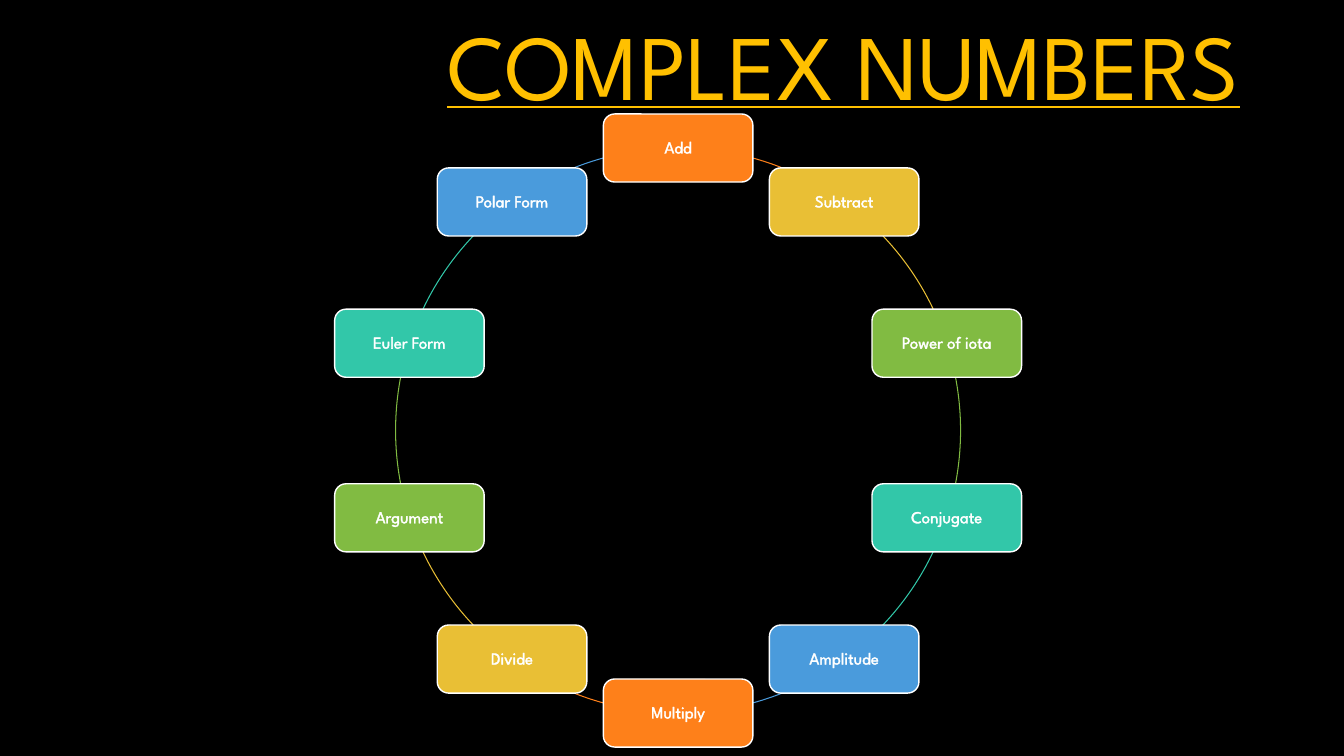
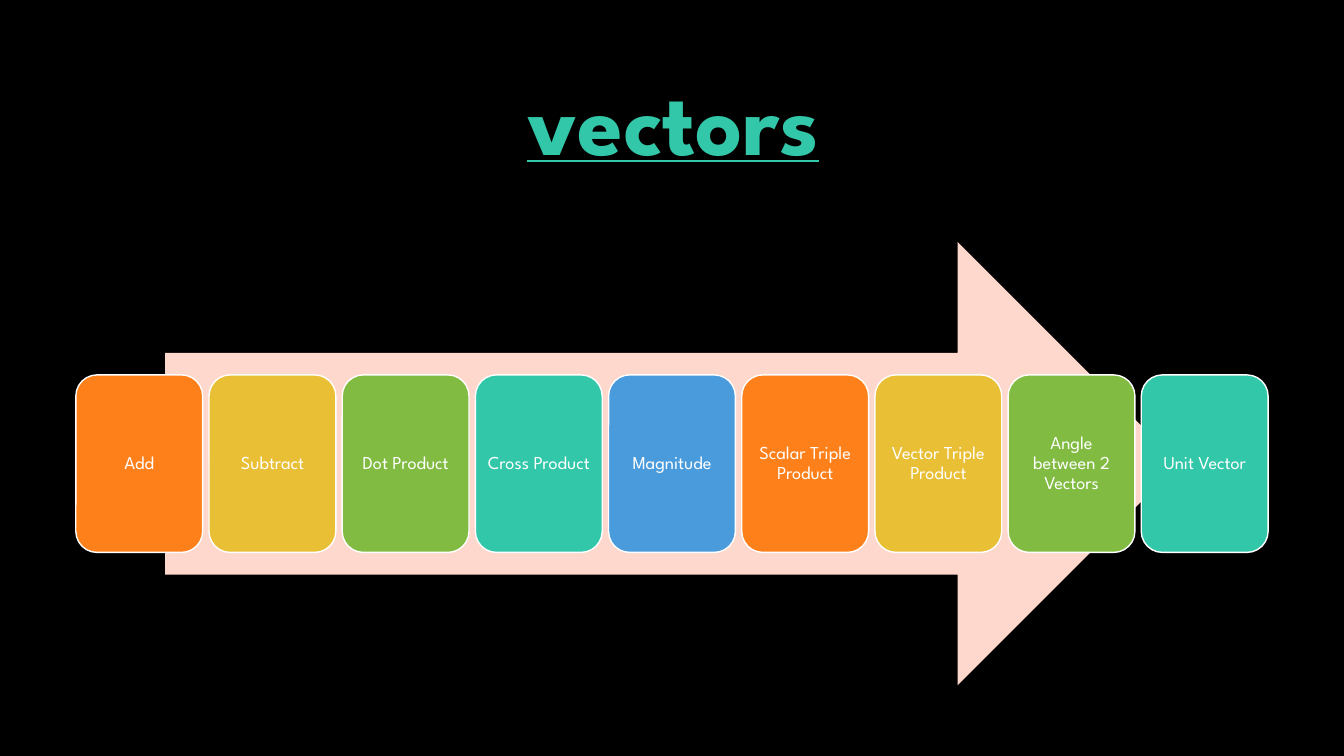
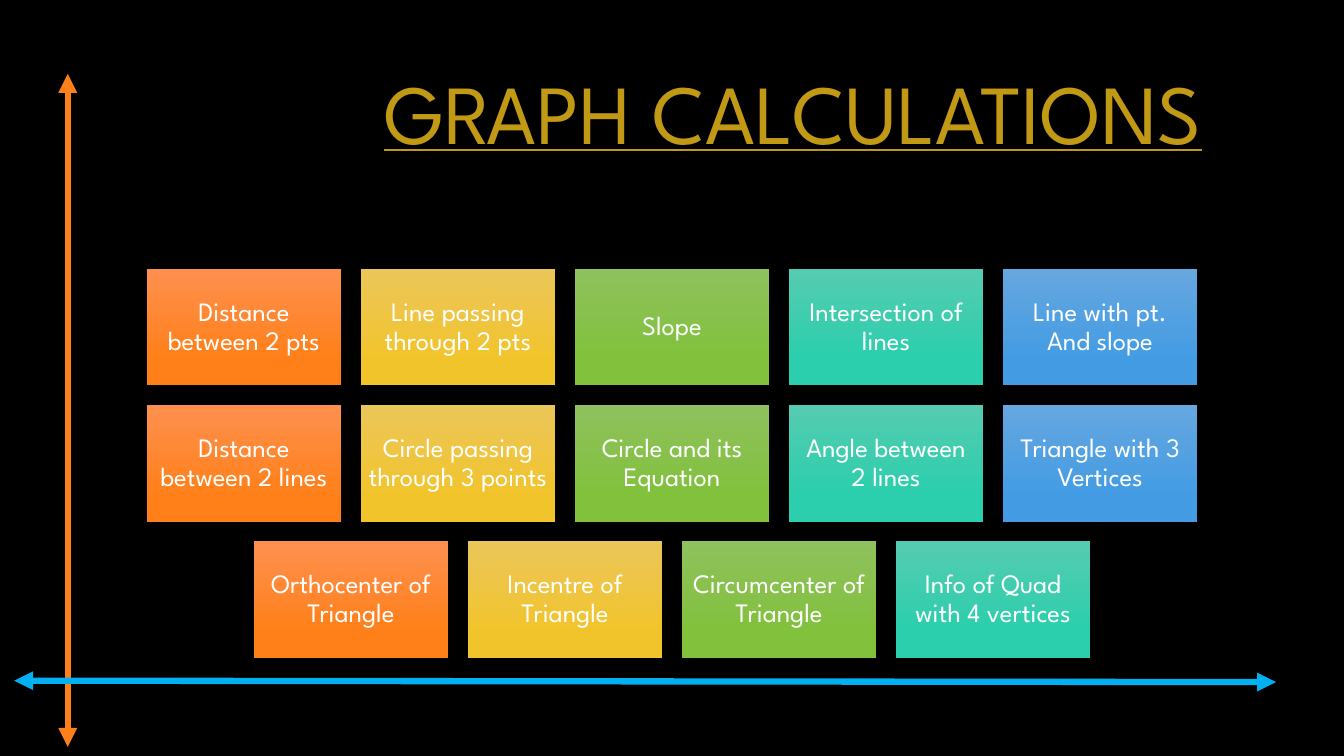
import math

import lxml.etree
import pptx
import pptx.dml.color
import pptx.enum.shapes
import pptx.enum.text
import pptx.oxml.ns
import pptx.util

Pt = pptx.util.Pt
RGBColor = pptx.dml.color.RGBColor
SHAPE = pptx.enum.shapes.MSO_SHAPE
qn = pptx.oxml.ns.qn

FONT = "League Spartan"
BLACK = RGBColor(0x00, 0x00, 0x00)
WHITE = RGBColor(0xFF, 0xFF, 0xFF)
ORANGE = RGBColor(0xFE, 0x80, 0x1A)
YELLOW = RGBColor(0xE9, 0xBF, 0x35)
GREEN = RGBColor(0x81, 0xBB, 0x42)
TEAL = RGBColor(0x32, 0xC7, 0xA9)
BLUE = RGBColor(0x4A, 0x9B, 0xDC)
AMBER = RGBColor(0xFF, 0xC0, 0x00)
OCHRE = RGBColor(0xC1, 0x99, 0x15)
PEACH = RGBColor(0xFF, 0xD8, 0xCD)
SKY = RGBColor(0x00, 0xB0, 0xF0)
ACCENTS = [ORANGE, YELLOW, GREEN, TEAL, BLUE]
GRADIENTS = [
    (RGBColor(0xFE, 0x90, 0x4F), RGBColor(0xFF, 0x80, 0x19)),
    (RGBColor(0xEB, 0xC6, 0x59), RGBColor(0xF2, 0xC4, 0x2C)),
    (RGBColor(0x8F, 0xC1, 0x5E), RGBColor(0x81, 0xC1, 0x3C)),
    (RGBColor(0x55, 0xCC, 0xB1), RGBColor(0x2B, 0xCE, 0xAD)),
    (RGBColor(0x66, 0xA7, 0xE0), RGBColor(0x43, 0x9C, 0xE3)),
]

SLIDE_W, SLIDE_H = 960, 540
TITLE_W, TITLE_H = 678, 101.5

COMPLEX_OPERATIONS = [
    "Add", "Subtract", "Power of iota", "Conjugate", "Amplitude",
    "Multiply", "Divide", "Argument", "Euler Form", "Polar Form",
]
VECTOR_OPERATIONS = [
    "Add", "Subtract", "Dot Product", "Cross Product", "Magnitude",
    "Scalar Triple Product", "Vector Triple Product",
    "Angle between 2 Vectors", "Unit Vector",
]
GRAPH_ROWS = [
    ["Distance between 2 pts", "Line passing through 2 pts", "Slope",
     "Intersection of lines", "Line with pt. And slope"],
    ["Distance between 2 lines", "Circle passing through 3 points",
     "Circle and its Equation", "Angle between 2 lines",
     "Triangle with 3 Vertices"],
    ["Orthocenter of Triangle", "Incentre of Triangle",
     "Circumcenter of Triangle", "Info of Quad with 4 vertices"],
]
AXES = [  # start, end, colour
    ((48.4, 52.8), (48.4, 533.5), ORANGE),
    ((911.5, 487.2), (10.2, 486.2), SKY),
]


def write(shape, text, size, color, inset=None):
    """Put one centred line of text in a shape and return its run."""
    frame = shape.text_frame
    frame.text = text
    frame.word_wrap = True
    frame.vertical_anchor = pptx.enum.text.MSO_ANCHOR.MIDDLE
    if inset is not None:
        frame.margin_left = frame.margin_right = Pt(inset)
        frame.margin_top = frame.margin_bottom = Pt(inset)
    paragraph = frame.paragraphs[0]
    paragraph.alignment = pptx.enum.text.PP_ALIGN.CENTER
    paragraph.line_spacing = 0.9
    run = paragraph.runs[0]
    run.font.name = FONT
    run.font.size = Pt(size)
    run.font.color.rgb = color
    return run


def add_slide(deck, title, left, top, size, color, bold=False):
    slide = deck.slides.add_slide(deck.slide_layouts[6])
    slide.background.fill.solid()
    slide.background.fill.fore_color.rgb = BLACK
    heading = slide.shapes.add_textbox(
        Pt(left), Pt(top), Pt(TITLE_W), Pt(TITLE_H))
    run = write(heading, title, size, color)
    run.font.underline = True
    run.font.bold = bold
    return slide


def add_plain_shape(slide, kind, left, top, width, height, fill=None):
    """Add a shape with no shadow and no line."""
    shape = slide.shapes.add_shape(
        kind, Pt(left), Pt(top), Pt(width), Pt(height))
    shape.shadow.inherit = False
    shape.line.fill.background()
    if fill is None:
        shape.fill.background()
    else:
        shape.fill.solid()
        shape.fill.fore_color.rgb = fill
    return shape


def outline(shape, color, width):
    shape.line.color.rgb = color
    shape.line.width = Pt(width)


def add_card(slide, text, left, top, width, height, fill, size):
    card = add_plain_shape(
        slide, SHAPE.ROUNDED_RECTANGLE, left, top, width, height, fill)
    outline(card, WHITE, 1)
    return write(card, text, size, WHITE, inset=3.6)


def outline_text(run, color, width):
    line = lxml.etree.Element(qn("a:ln"), w=str(Pt(width)))
    fill = lxml.etree.SubElement(line, qn("a:solidFill"))
    lxml.etree.SubElement(fill, qn("a:srgbClr"), val=str(color))
    run.font._element.insert(0, line)


def add_axis(slide, start, end, color):
    axis = slide.shapes.add_connector(
        pptx.enum.shapes.MSO_CONNECTOR.STRAIGHT,
        Pt(start[0]), Pt(start[1]), Pt(end[0]), Pt(end[1]))
    outline(axis, color, 4.5)
    line = axis.line._get_or_add_ln()
    for tip in ("a:headEnd", "a:tailEnd"):
        lxml.etree.SubElement(line, qn(tip), type="triangle")
    lxml.etree.SubElement(axis._element.spPr, qn("a:effectLst"))


def build_complex_numbers(deck):
    slide = add_slide(deck, "COMPLEX NUMBERS", 263.5, 0, 66, AMBER)
    center_x, center_y, radius = 484.4, 307.5, 201.8
    width, height = 106.8, 48.6
    step = 360 / len(COMPLEX_OPERATIONS)
    nodes = [(text, i * step - 90, ACCENTS[i % len(ACCENTS)])
             for i, text in enumerate(COMPLEX_OPERATIONS)]
    for _, angle, color in nodes:
        arc = add_plain_shape(slide, SHAPE.ARC, center_x - radius,
                              center_y - radius, 2 * radius, 2 * radius)
        outline(arc, color, 0.75)
        # An adjustment of 0.6 is one degree.
        arc.adjustments[0] = angle % 360 * 0.6
        arc.adjustments[1] = (angle + step) % 360 * 0.6
    for text, angle, color in nodes:
        x = center_x + radius * math.cos(math.radians(angle))
        y = center_y + radius * math.sin(math.radians(angle))
        run = add_card(slide, text, x - width / 2, y - height / 2,
                       width, height, color, 12)
        outline_text(run, WHITE, 1.5)


def build_vectors(deck):
    slide = add_slide(deck, "vectors", 141.8, 38.9, 66, TEAL, bold=True)
    add_plain_shape(slide, SHAPE.RIGHT_ARROW, 118, 172.8, 724.4, 316.8, PEACH)
    left, width, gap = 54.2, 90.6, 4.53
    for i, text in enumerate(VECTOR_OPERATIONS):
        add_card(slide, text, left + i * (width + gap), 267.8, width, 126.8,
                 ACCENTS[i % len(ACCENTS)], 13)


def build_graph_calculations(deck):
    slide = add_slide(deck, "GRAPH CALCULATIONS", 227.5, 33.1, 60, OCHRE)
    width, height, gap, top = 139, 83.4, 13.9, 192
    for row, texts in enumerate(GRAPH_ROWS):
        row_width = len(texts) * (width + gap) - gap
        left = (SLIDE_W - row_width) / 2
        for column, text in enumerate(texts):
            tile = add_plain_shape(
                slide, SHAPE.RECTANGLE, left + column * (width + gap),
                top + row * (height + gap), width, height)
            tile.fill.gradient()
            tile.fill.gradient_angle = 270
            stops = tile.fill.gradient_stops
            for stop, color, position in zip(
                    stops, GRADIENTS[column], (0, 0.78)):
                stop.color.rgb = color
                stop.position = position
            write(tile, text, 19, WHITE, inset=5.7)
    for start, end, color in AXES:
        add_axis(slide, start, end, color)


def main():
    deck = pptx.Presentation()
    deck.slide_width, deck.slide_height = Pt(SLIDE_W), Pt(SLIDE_H)
    build_complex_numbers(deck)
    build_vectors(deck)
    build_graph_calculations(deck)
    deck.save("out.pptx")


if __name__ == "__main__":
    main()
